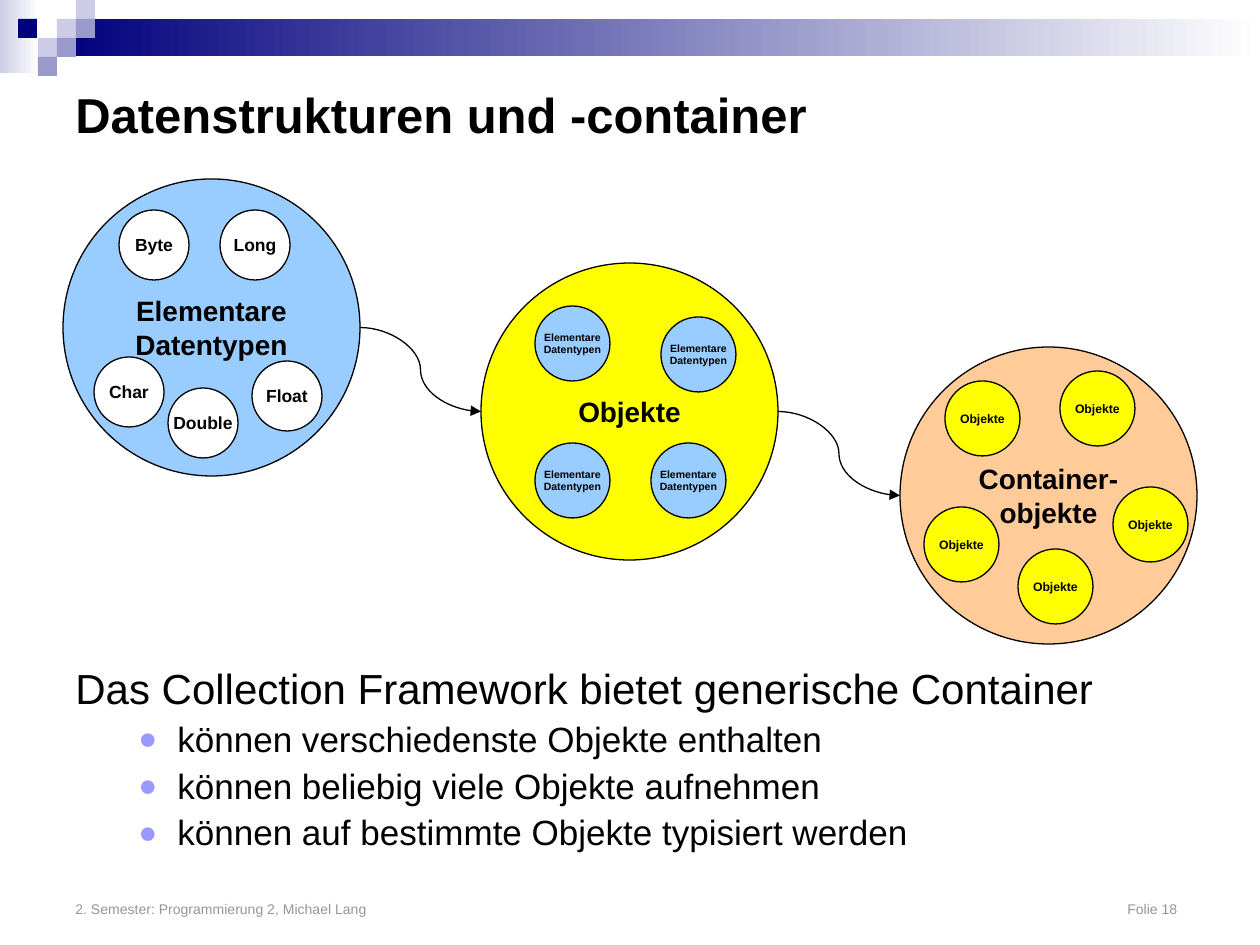
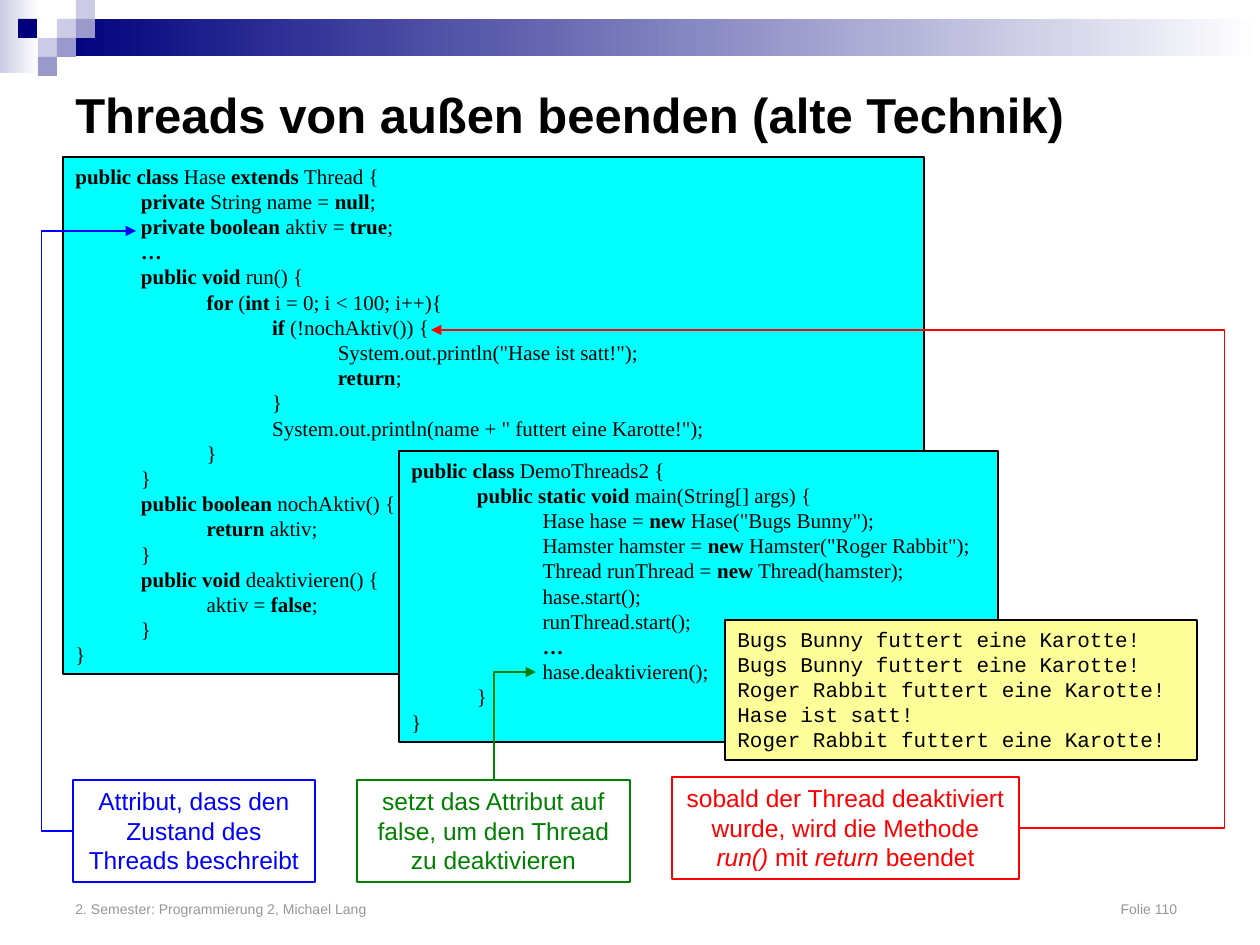
from pptx import Presentation
from pptx.dml.color import RGBColor
from pptx.enum.shapes import MSO_CONNECTOR, MSO_SHAPE
from pptx.enum.text import MSO_ANCHOR, PP_ALIGN
from pptx.oxml.ns import qn
from pptx.util import Emu, Pt
from lxml import etree

OVAL, RECT = MSO_SHAPE.OVAL, MSO_SHAPE.RECTANGLE
CURVE, ELBOW = MSO_CONNECTOR.CURVE, MSO_CONNECTOR.ELBOW
TOP, MIDDLE, BOTTOM = MSO_ANCHOR.TOP, MSO_ANCHOR.MIDDLE, MSO_ANCHOR.BOTTOM
LEFT, CENTER = PP_ALIGN.LEFT, PP_ALIGN.CENTER

BLACK = RGBColor(0x00, 0x00, 0x00)
WHITE = RGBColor(0xFF, 0xFF, 0xFF)
GRAY = RGBColor(0x96, 0x96, 0x96)
NAVY = RGBColor(0x00, 0x00, 0x7D)
LAVENDER = RGBColor(0x99, 0x99, 0xCC)
PALE_LAVENDER = RGBColor(0xCC, 0xCC, 0xE6)
BULLET_VIOLET = RGBColor(0x99, 0x99, 0xFF)
SKY = RGBColor(0x99, 0xCC, 0xFF)
YELLOW = RGBColor(0xFF, 0xFF, 0x00)
PEACH = RGBColor(0xFF, 0xCC, 0x99)
CYAN = RGBColor(0x00, 0xFF, 0xFF)
PALE_YELLOW = RGBColor(0xFF, 0xFF, 0x99)
BLUE = RGBColor(0x00, 0x00, 0xFF)
RED = RGBColor(0xFF, 0x00, 0x00)
GREEN = RGBColor(0x00, 0x80, 0x00)

SANS, SERIF, MONO = "Arial", "Times New Roman", "Courier New"
PX_PER_INCH = 126
SLIDE_W, SLIDE_H = 1260, 945
MARGIN, CONTENT_W = 63, 1134
GROUP_SIZE = 297
CODE_TAB = 65.6

# Code keywords stand between bars and are set in bold.
HASE_CODE = """|public class |Hase |extends |Thread {
\t|private |String name = |null|;
\t|private boolean |aktiv = |true|;
\t|…|
\t|public void |run() {
\t\t|for |(|int |i = 0; i < 100; i++){
\t\t\t|if |(!nochAktiv()) {
\t\t\t\tSystem.out.println("Hase ist satt!");
\t\t\t\t|return|;
\t\t\t}
\t\t\tSystem.out.println(name + " futtert eine Karotte!");
\t\t}
\t}
\t|public boolean |nochAktiv() {
\t\t|return |aktiv;
\t}
\t|public void |deaktivieren() {
\t\taktiv = |false|;
\t}
}"""

DEMO_CODE = """|public class |DemoThreads2 {
\t|public static void |main(String[] args) {
\t\tHase hase = |new |Hase("Bugs Bunny");
\t\tHamster hamster = |new |Hamster("Roger Rabbit");
\t\tThread runThread = |new| Thread(hamster);
\t\thase.start();
\t\trunThread.start();
\t\t|…|
\t\thase.deaktivieren();
\t}
}"""

CONSOLE_OUTPUT = """Bugs Bunny futtert eine Karotte!
Bugs Bunny futtert eine Karotte!
Roger Rabbit futtert eine Karotte!
Hase ist satt!
Roger Rabbit futtert eine Karotte!"""


def px(length):
    return Emu(round(length * 914400 / PX_PER_INCH))


def style(run, size, color=BLACK, font=SANS, bold=False, italic=False):
    run.font.name, run.font.size = font, Pt(size)
    run.font.bold, run.font.italic = bold, italic
    run.font.color.rgb = color


def set_tabs(paragraph, stops, align="l"):
    tab_list = etree.SubElement(paragraph._p.get_or_add_pPr(), qn("a:tabLst"))
    for stop in stops:
        etree.SubElement(tab_list, qn("a:tab"), pos=str(px(stop)), algn=align)


def add_text(slide, x, y, w, h, anchor):
    frame = slide.shapes.add_textbox(px(x), px(y), px(w), px(h)).text_frame
    frame.word_wrap = True
    frame.vertical_anchor = anchor
    return frame


def add_figure(slide, kind, x, y, w, h, fill=None, line=None):
    figure = slide.shapes.add_shape(kind, px(x), px(y), px(w), px(h))
    figure.shadow.inherit = False
    if fill is None:
        figure.fill.background()
    else:
        figure.fill.solid()
        figure.fill.fore_color.rgb = fill
    if line is None:
        figure.line.fill.background()
    else:
        figure.line.color.rgb = line
        figure.line.width = Pt(0.75)
    return figure


def add_fade(slide, x, y, w, h, color):
    """Rectangle fading from color to white, left to right."""
    fill = add_figure(slide, RECT, x, y, w, h).fill
    fill.gradient()
    fill.gradient_angle = 0
    for stop, shade in zip(fill.gradient_stops, (color, WHITE)):
        stop.color.rgb = shade


def add_circle(slide, x, y, diameter, label, size, fill):
    circle = add_figure(slide, OVAL, x, y, diameter, diameter, fill, BLACK)
    frame = circle.text_frame
    frame.word_wrap = False
    frame.vertical_anchor = MIDDLE
    frame.text = label
    frame.paragraphs[0].alignment = CENTER
    for run in frame.paragraphs[0].runs:
        style(run, size, bold=True)


def add_listing(slide, x, y, w, h, listing, fill, font):
    frame = add_figure(slide, RECT, x, y, w, h, fill, BLACK).text_frame
    frame.word_wrap = True
    frame.vertical_anchor = TOP
    for number, code in enumerate(listing.split("\n")):
        line = frame.add_paragraph() if number else frame.paragraphs[0]
        line.alignment = LEFT
        set_tabs(line, [CODE_TAB * level for level in range(1, 5)])
        for index, part in enumerate(code.split("|")):
            if part:
                run = line.add_run()
                run.text = part
                style(run, 12, font=font, bold=index % 2 == 1)


def add_callout(slide, x, y, w, h, note, color):
    """Framed note; parts between bars are italic."""
    frame = add_figure(slide, RECT, x, y, w, h, line=color).text_frame
    frame.word_wrap = True
    frame.vertical_anchor = TOP
    frame.paragraphs[0].alignment = CENTER
    for index, part in enumerate(note.split("|")):
        run = frame.paragraphs[0].add_run()
        run.text = part
        style(run, 14, color, italic=index % 2 == 1)


def add_arrow(slide, kind, start, end, color, bend=None):
    arrow = slide.shapes.add_connector(kind, *map(px, start + end))
    arrow.line.color.rgb = color
    arrow.line.width = Pt(0.75)
    etree.SubElement(arrow.line._get_or_add_ln(), qn("a:tailEnd"), type="triangle")
    properties = arrow._element.spPr
    etree.SubElement(properties, qn("a:effectLst"))
    if bend is not None:
        guides = properties.find(qn("a:prstGeom")).get_or_add_avLst()
        etree.SubElement(guides, qn("a:gd"), name="adj1",
                         fmla=f"val {round(bend * 100000)}")
    return arrow


def add_corner_arrow(slide, start, end, color):
    """Arrow that rises from start, then turns right to end."""
    run, rise = end[0] - start[0], start[1] - end[1]
    mid_x, mid_y = (start[0] + end[0]) / 2, (start[1] + end[1]) / 2
    arrow = add_arrow(slide, ELBOW, (mid_x - rise / 2, mid_y - run / 2),
                      (mid_x + rise / 2, mid_y + run / 2), color)
    properties = arrow._element.spPr
    properties.find(qn("a:prstGeom")).set("prst", "bentConnector2")
    properties.find(qn("a:xfrm")).set("rot", str(270 * 60000))


def add_base_slide(deck, title, number):
    slide = deck.slides.add_slide(deck.slide_layouts[6])
    add_fade(slide, 0, 0, 39, 73, PALE_LAVENDER)
    add_fade(slide, 57, 19, 1203, 37, NAVY)
    for x, y, color in ((57, 19, PALE_LAVENDER), (76, 0, PALE_LAVENDER),
                        (76, 19, LAVENDER), (38, 38, PALE_LAVENDER),
                        (18, 19, NAVY), (57, 38, LAVENDER), (38, 57, LAVENDER)):
        add_figure(slide, RECT, x, y, 19, 19, color)

    footer = add_text(slide, MARGIN, 861, CONTENT_W, 63, BOTTOM).paragraphs[0]
    set_tabs(footer, [1102], "r")
    footer.text = f"2. Semester: Programmierung 2, Michael Lang\tFolie {number}"
    style(footer.runs[0], 8, GRAY)

    heading = add_text(slide, MARGIN, 63, CONTENT_W, 102, MIDDLE).paragraphs[0]
    heading.text = title
    style(heading.runs[0], 28, bold=True)
    return slide


def add_statement(slide, statement, points):
    frame = add_text(slide, MARGIN, 662, CONTENT_W, 208, TOP)
    frame.text = "\n".join([statement] + points)
    for paragraph in frame.paragraphs:
        paragraph.line_spacing = 0.9
    style(frame.paragraphs[0].runs[0], 24)
    for point in frame.paragraphs[1:]:
        point.space_before = Pt(5)
        properties = point._p.get_or_add_pPr()
        properties.set("marL", str(px(102)))
        properties.set("indent", str(px(-39)))
        bullet_color = etree.SubElement(properties, qn("a:buClr"))
        etree.SubElement(bullet_color, qn("a:srgbClr"), val=str(BULLET_VIOLET))
        etree.SubElement(properties, qn("a:buSzPct"), val="90000")
        etree.SubElement(properties, qn("a:buFont"), typeface=SANS)
        etree.SubElement(properties, qn("a:buChar"), char="●")
        style(point.runs[0], 20)


def build_containers(deck):
    slide = add_base_slide(deck, "Datenstrukturen und -container", 18)
    elementary = "Elementare\vDatentypen"
    groups = ((63, 179, elementary, SKY), (481, 263, "Objekte", YELLOW),
              (900, 347, "Container-\vobjekte", PEACH))
    for x, y, label, fill in groups:
        add_circle(slide, x, y, GROUP_SIZE, label, 16, fill)

    for x, y in ((535, 306), (651, 443), (661, 317), (535, 443)):
        add_circle(slide, x, y, 75, elementary, 6, SKY)
    for x, y in ((1113, 487), (1018, 549), (945, 381), (924, 507), (1060, 371)):
        add_circle(slide, x, y, 75, "Objekte", 7, YELLOW)
    for x, y, name in ((94, 357, "Char"), (252, 361, "Float"), (168, 388, "Double"),
                       (220, 210, "Long"), (119, 210, "Byte")):
        add_circle(slide, x, y, 70, name, 10, WHITE)

    middle = GROUP_SIZE / 2
    for source, target in zip(groups, groups[1:]):
        add_arrow(slide, CURVE, (source[0] + GROUP_SIZE, source[1] + middle),
                  (target[0], target[1] + middle), BLACK)

    add_statement(slide, "Das Collection Framework bietet generische Container",
                  ["können verschiedenste Objekte enthalten",
                   "können beliebig viele Objekte aufnehmen",
                   "können auf bestimmte Objekte typisiert werden"])


def build_threads(deck):
    slide = add_base_slide(deck, "Threads von außen beenden (alte Technik)", 110)
    add_listing(slide, 63, 157, 861, 517, HASE_CODE, CYAN, SERIF)
    add_listing(slide, 399, 451, 599, 291, DEMO_CODE, CYAN, SERIF)
    add_listing(slide, 725, 620, 472, 140, CONSOLE_OUTPUT, PALE_YELLOW, MONO)

    add_callout(slide, 73, 780, 242, 102,
                "Attribut, dass den Zustand des Threads beschreibt", BLUE)
    add_callout(slide, 672, 777, 347, 102,
                "sobald der Thread deaktiviert wurde, wird die Methode "
                "|run()| mit |return |beendet", RED)
    add_arrow(slide, ELBOW, (1019, 828), (431, 330), RED, -0.35)
    add_arrow(slide, ELBOW, (73, 831), (136, 231), BLUE, -0.5)
    add_callout(slide, 357, 780, 273, 102,
                "setzt das Attribut auf false, um den Thread zu deaktivieren", GREEN)
    add_corner_arrow(slide, (494, 780), (536, 672), GREEN)


def main():
    deck = Presentation()
    deck.slide_width, deck.slide_height = px(SLIDE_W), px(SLIDE_H)
    build_containers(deck)
    build_threads(deck)
    deck.save("out.pptx")


if __name__ == "__main__":
    main()
